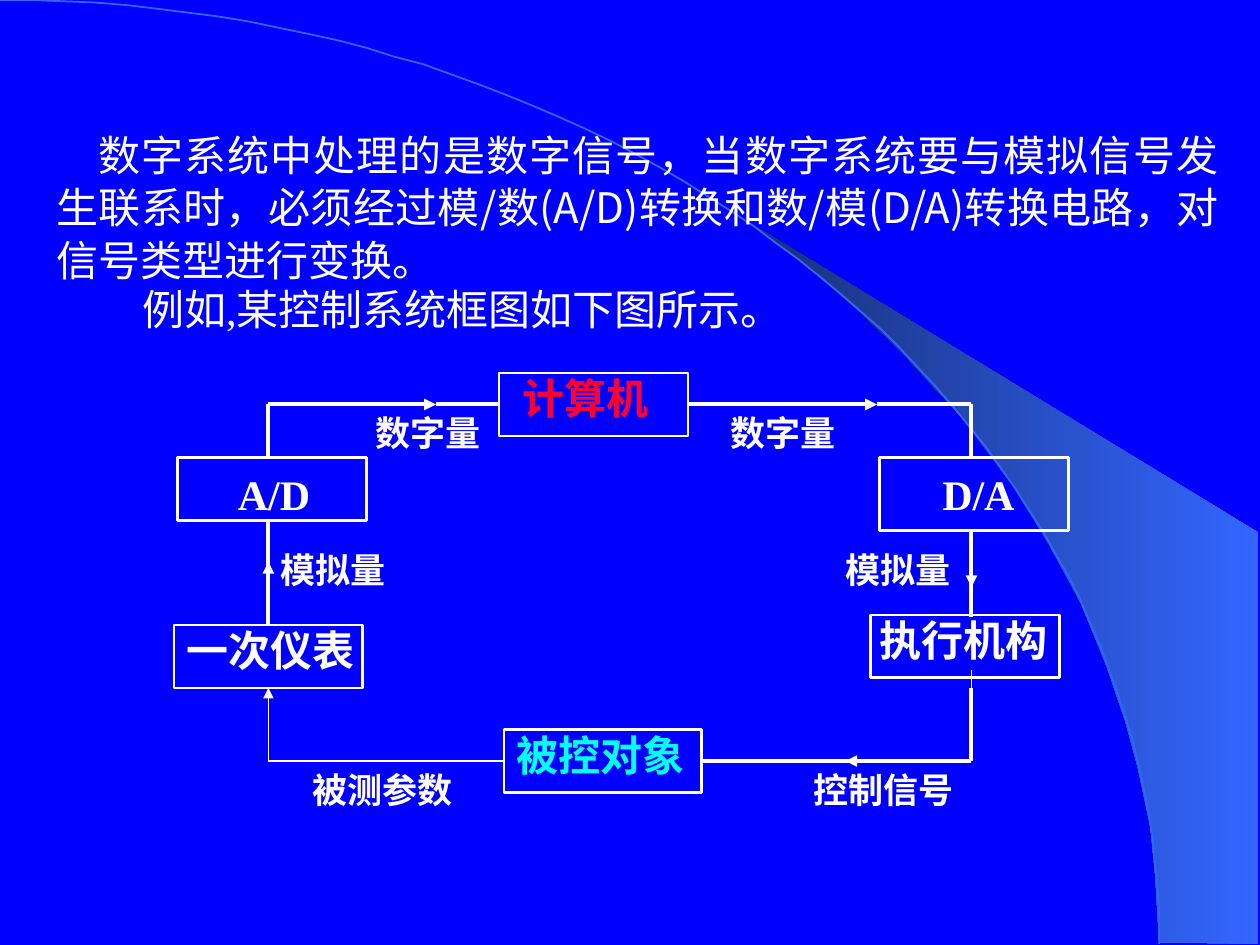
import pptx
import pptx.util
import pptx.dml.color
import pptx.enum.shapes
import pptx.enum.text
import pptx.oxml.ns
import lxml.etree

PX = 9144
WHITE = pptx.dml.color.RGBColor(0xFF, 0xFF, 0xFF)
BLUE = pptx.dml.color.RGBColor(0x00, 0x00, 0xFF)
NAVY = pptx.dml.color.RGBColor(0x18, 0x2F, 0x76)
SKY = pptx.dml.color.RGBColor(0x33, 0x66, 0xFF)
RED = pptx.dml.color.RGBColor(0xFF, 0x00, 0x33)
CYAN = pptx.dml.color.RGBColor(0x00, 0xFF, 0xFF)
CJK = "Noto Sans CJK SC"
SERIF = "Times New Roman"
qn = pptx.oxml.ns.qn

prs = pptx.Presentation()
prs.slide_width = 1000 * PX
prs.slide_height = 750 * PX
s = prs.slides.add_slide(prs.slide_layouts[6])
s.background.fill.solid()
s.background.fill.fore_color.rgb = BLUE


def add_outline(points, close):
    fb = s.shapes.build_freeform(*points[0], scale=PX)
    fb.add_line_segments(points[1:], close=close)
    sp = fb.convert_to_shape()
    sp.shadow.inherit = False
    return sp


def add_text(box, text, size=24, color=WHITE, bold=True, latin=CJK, top=0, indent=0):
    sp = s.shapes.add_textbox(*[v * PX for v in box])
    tf = sp.text_frame
    margins = {"margin_left": 10, "margin_right": 10, "margin_top": top, "margin_bottom": 5}
    for key, value in margins.items():
        setattr(tf, key, value * PX)
    tf.word_wrap = True
    p = tf.paragraphs[0]
    p._p.get_or_add_pPr().set("indent", str(indent * PX))
    r = p.add_run()
    r.text = text
    for key, value in {"size": pptx.util.Pt(size), "bold": bold, "name": latin}.items():
        setattr(r.font, key, value)
    r.font.color.rgb = color
    lxml.etree.SubElement(r._r.get_or_add_rPr(), qn("a:ea"), typeface=CJK)
    return p


beam = [(920, 748), (999, 749), (999, 423), (589, 173), (624, 199), (653, 222),
        (685, 250), (716, 280), (762, 330), (803, 384), (832, 431), (858, 479),
        (878, 528), (893, 572), (903, 609), (913, 656), (917, 696)]
sp = add_outline(beam, True)
sp.fill.gradient()
sp.fill.gradient_angle = 0
for stop, position, color in zip(sp.fill.gradient_stops, (0, 1), (NAVY, SKY)):
    stop.position = position
    stop.color.rgb = color
sp.line.fill.background()

arc = []
for i in range(61):
    t = i / 60
    u = 1 - t
    arc.append((round(3 * u * u * t * 508 + 3 * u * t * t * 920 + t ** 3 * 920, 2),
                round(3 * u * t * t * 335 + t ** 3 * 749, 2)))
sp = add_outline(arc, False)
sp.fill.background()
sp.line.color.rgb = SKY
sp.line.width = pptx.util.Pt(1)

p = add_text((35, 84, 942, 144),
             "数字系统中处理的是数字信号，当数字系统要与模拟信号发生联系时，必须经过模/数(A/D)转换和数/模(D/A)转换电路，对信号类型进行变换。",
             bold=False, top=17, indent=33)
p.alignment = pptx.enum.text.PP_ALIGN.JUSTIFY
p.line_spacing = pptx.util.Pt(30)
p = add_text((51, 225, 638, 50), "例如,某控制系统框图如下图所示。",
             bold=False, latin=SERIF, indent=52)
p.alignment = pptx.enum.text.PP_ALIGN.JUSTIFY

blocks = {
    "computer": (396, 296, 150, 50),
    "adc": (141, 363, 150, 50),
    "dac": (698, 363, 150, 58),
    "meter": (138, 496, 150, 50),
    "actuator": (691, 488, 150, 50),
    "plant": (400, 579, 157, 50),
}
rects = {}
for name, box in blocks.items():
    sp = s.shapes.add_shape(pptx.enum.shapes.MSO_SHAPE.RECTANGLE, *[v * PX for v in box])
    sp.shadow.inherit = False
    sp.fill.background()
    sp.line.color.rgb = WHITE
    sp.line.width = pptx.util.Pt(1.5)
    rects[name] = sp

lines = [
    (213, 496, 213, 446, 2.25, True, ("meter", 0), None),
    (213, 454, 213, 413, 2.25, False, None, None),
    (213, 363, 213, 321, 2.25, False, None, None),
    (213, 321, 346, 321, 2.25, True, None, None),
    (346, 321, 396, 321, 2.25, False, None, ("computer", 1)),
    (546, 321, 696, 321, 2.25, True, ("computer", 3), None),
    (696, 321, 771, 321, 2.25, False, None, None),
    (771, 321, 771, 363, 2.25, False, None, None),
    (771, 421, 771, 466, 2.25, True, None, None),
    (771, 448, 771, 490, 2.25, False, None, None),
    (771, 532, 771, 565, 0.75, False, None, None),
    (771, 546, 771, 604, 2.25, False, None, None),
    (771, 604, 671, 604, 2.25, True, None, None),
    (679, 604, 557, 604, 2.25, False, None, ("plant", 3)),
    (213, 604, 400, 604, 0.75, False, None, ("plant", 1)),
    (213, 604, 213, 546, 0.75, True, None, ("meter", 2)),
]
for x1, y1, x2, y2, width, arrow, begin, end in lines:
    sp = s.shapes.add_connector(pptx.enum.shapes.MSO_CONNECTOR.STRAIGHT,
                                x1 * PX, y1 * PX, x2 * PX, y2 * PX)
    if begin:
        sp.begin_connect(rects[begin[0]], begin[1])
    if end:
        sp.end_connect(rects[end[0]], end[1])
    sp.line.color.rgb = WHITE
    sp.line.width = pptx.util.Pt(width)
    if arrow:
        lxml.etree.SubElement(sp.line._get_or_add_ln(), qn("a:tailEnd"), type="triangle")
    lxml.etree.SubElement(sp._element.spPr, qn("a:effectLst"))

add_text((329, 296, 300, 50), "计算机", color=RED, indent=76)
add_text((400, 579, 170, 50), "被控对象", color=CYAN)
add_text((138, 496, 158, 50), "一次仪表")
add_text((688, 488, 167, 50), "执行机构")
for x, width, text in [(179, 117, "A/D"), (738, 142, "D/A")]:
    add_text((x, 363, width, 50), text, latin=SERIF, top=9)

labels = [
    (288, 321, 112, "数字量", 0),
    (563, 321, 125, "数字量", 7),
    (213, 429, 112, "模拟量", 0),
    (661, 429, 112, "模拟量", 0),
    (636, 604, 185, "控制信号", 0),
    (238, 604, 162, "被测参数", 0),
]
for x, y, width, text, indent in labels:
    add_text((x, y, width, 50), text, size=20, top=6, indent=indent)

prs.save("out.pptx")
